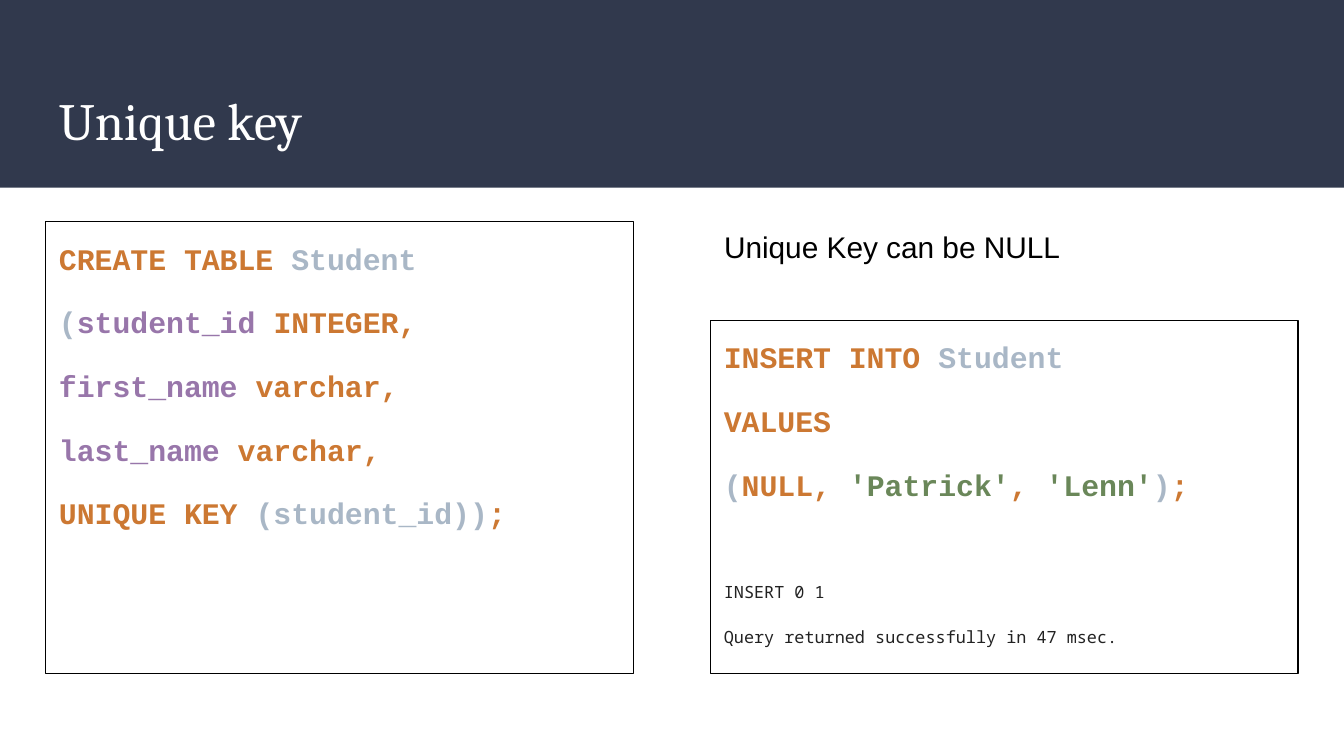
from dataclasses import dataclass

import pptx
import pptx.dml.color
import pptx.enum.shapes
import pptx.enum.text
import pptx.util

Pt = pptx.util.Pt
RGB = pptx.dml.color.RGBColor.from_string


@dataclass(frozen=True)
class Theme:
    band: str = "31394D"
    white: str = "FFFFFF"
    black: str = "000000"
    keyword: str = "CC7832"
    plain: str = "A9B7C6"
    column: str = "9876AA"
    string: str = "6A8759"
    output: str = "222222"
    title_size: float = 28
    text_size: float = 16
    output_size: float = 9
    title_font: str = "Cambria"
    text_font: str = "Arial"
    code_font: str = "Courier New"
    output_font: str = "Noto Sans Mono"


THEME = Theme()


@dataclass(frozen=True)
class Box:
    left: float
    top: float
    width: float
    height: float
    inset: float = 7.2


@dataclass(frozen=True)
class Line:
    runs: tuple[tuple[str, str], ...]
    font: str = THEME.code_font
    size: float = THEME.text_size
    bold: bool = True
    before: float = 12
    spacing: float = 1.15


def output_line(text: str, before: float = 12) -> Line:
    return Line(((text, THEME.output),), THEME.output_font, THEME.output_size, False, before)


def heading_line(text: str, color: str, font: str, size: float) -> Line:
    return Line(((text, color),), font, size, False, 0, 1.0)


def write(sp, box: Box, lines: list[Line], anchor) -> None:
    tf = sp.text_frame
    tf.word_wrap = True
    tf.vertical_anchor = anchor
    tf.margin_left = tf.margin_right = tf.margin_top = tf.margin_bottom = Pt(box.inset)
    for i, line in enumerate(lines):
        p = tf.paragraphs[0] if i == 0 else tf.add_paragraph()
        p.alignment = pptx.enum.text.PP_ALIGN.LEFT
        p.line_spacing = line.spacing
        p.space_before = Pt(line.before)
        p.font.name = line.font
        p.font.size = Pt(line.size)
        p.font.bold = line.bold
        for text, color in line.runs:
            r = p.add_run()
            r.text = text
            r.font.color.rgb = RGB(color)


def add_rect(s, box: Box):
    sp = s.shapes.add_shape(
        pptx.enum.shapes.MSO_SHAPE.RECTANGLE,
        Pt(box.left), Pt(box.top), Pt(box.width), Pt(box.height),
    )
    sp.shadow.inherit = False
    return sp


def add_band(s, box: Box) -> None:
    sp = add_rect(s, box)
    sp.fill.solid()
    sp.fill.fore_color.rgb = RGB(THEME.band)
    sp.line.fill.background()


def add_code(s, box: Box, lines: list[Line]) -> None:
    sp = add_rect(s, box)
    sp.fill.background()
    sp.line.color.rgb = RGB(THEME.black)
    sp.line.width = Pt(0.75)
    write(sp, box, lines, pptx.enum.text.MSO_ANCHOR.TOP)


def add_text(s, box: Box, line: Line, anchor) -> None:
    sp = s.shapes.add_textbox(Pt(box.left), Pt(box.top), Pt(box.width), Pt(box.height))
    write(sp, box, [line], anchor)


def main() -> None:
    t = THEME
    anchors = pptx.enum.text.MSO_ANCHOR
    prs = pptx.Presentation()
    prs.slide_width, prs.slide_height = Pt(720), Pt(405)
    s = prs.slides.add_slide(prs.slide_layouts[6])

    margin, code_width, bottom = 24.5, 314.8, 360.8
    content_top, insert_top = 118.8, 171.6
    right = 720 - margin - code_width

    add_band(s, Box(0, 0, 720, 100.5))
    add_text(
        s, Box(margin, 39.6, 720 - 2 * margin, 49),
        heading_line("Unique key", t.white, t.title_font, t.title_size), anchors.MIDDLE,
    )
    add_code(s, Box(margin, content_top, code_width, bottom - content_top), [
        Line((("CREATE TABLE ", t.keyword), ("Student", t.plain))),
        Line((("(", t.plain), ("student_id ", t.column), ("INTEGER,", t.keyword))),
        Line((("first_name ", t.column), ("varchar,", t.keyword))),
        Line((("last_name ", t.column), ("varchar,", t.keyword))),
        Line((("UNIQUE KEY ", t.keyword), ("(student_id))", t.plain), (";", t.keyword))),
    ])
    add_code(s, Box(right, insert_top, code_width, bottom - insert_top), [
        Line((("INSERT INTO ", t.keyword), ("Student", t.plain))),
        Line((("VALUES", t.keyword),)),
        Line((
            ("(", t.plain), ("NULL, ", t.keyword), ("'Patrick'", t.string),
            (", ", t.keyword), ("'Lenn'", t.string), (")", t.plain), (";", t.keyword),
        )),
        output_line("INSERT 0 1", before=41),
        output_line("Query returned successfully in 47 msec."),
    ])
    add_text(
        s, Box(right + 3.6, content_top, code_width - 7.2, 26.6, inset=3.6),
        heading_line("Unique Key can be NULL", t.black, t.text_font, t.text_size), anchors.TOP,
    )
    prs.save("out.pptx")


if __name__ == "__main__":
    main()
